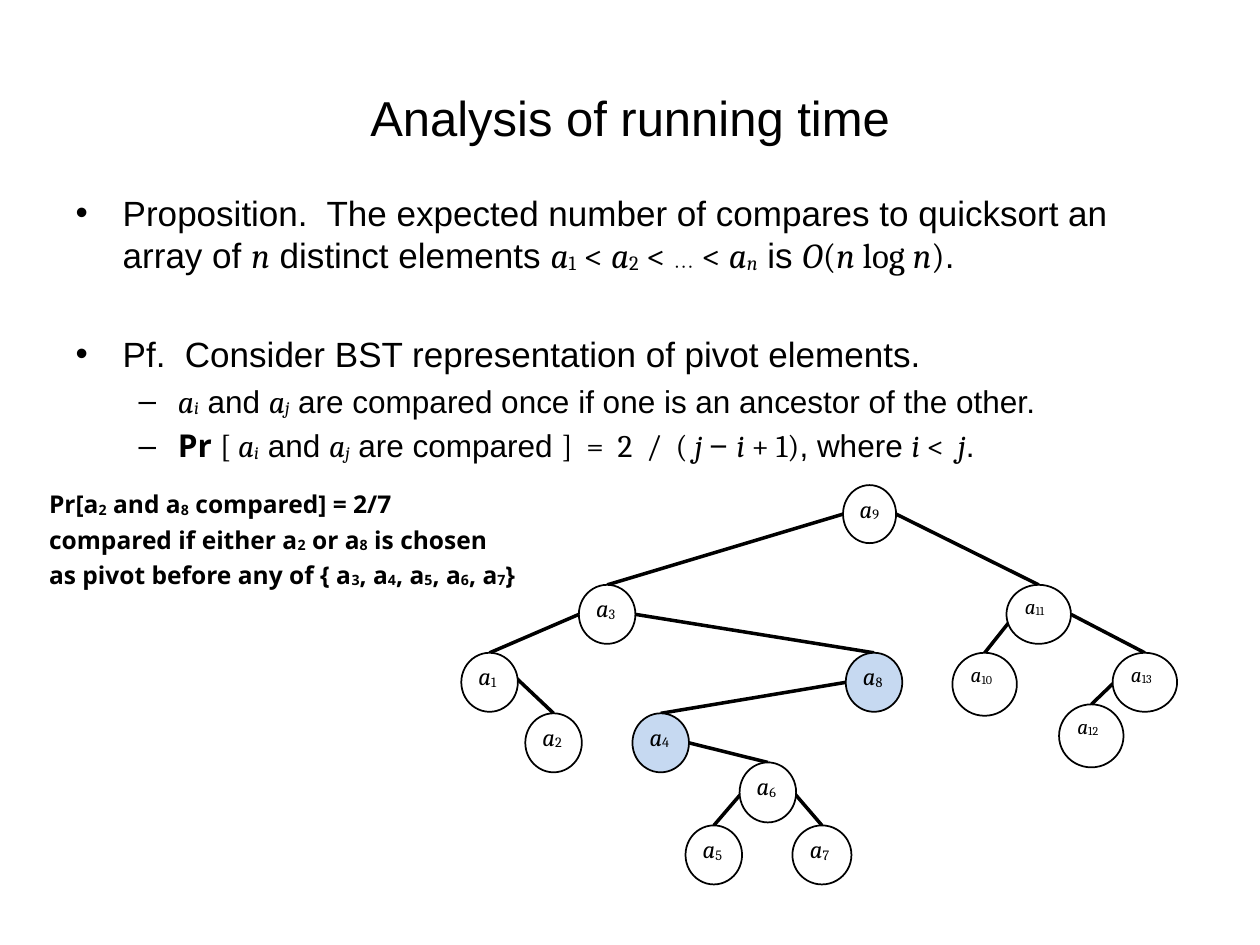
from dataclasses import dataclass
from lxml.etree import SubElement
from pptx import Presentation
from pptx.dml.color import RGBColor
from pptx.enum.shapes import MSO_CONNECTOR as Connector, MSO_SHAPE as Shape
from pptx.enum.text import MSO_ANCHOR as Anchor, MSO_AUTO_SIZE as AutoSize, PP_ALIGN as Align
from pptx.oxml.ns import qn
from pptx.util import Cm, Pt


@dataclass(frozen=True)
class Theme:
    ink = RGBColor(0, 0, 0)
    paper = RGBColor(255, 255, 255)
    highlight = RGBColor(0xC6, 0xD9, 0xF1)
    title_size = 28
    body_sizes = (20, 18)
    note_size = 14
    node_sizes = {1: 14, 2: 12}  # by number of digits in the index
    node_line = 1
    edge_line = 2
    # (left margin, first-line indent) in cm for each list level
    indents = ((0.95, -0.95), (2.06, -0.79))


THEME = Theme()

# Run styles: font attributes and baseline shift in percent
STYLES = {
    "text": ({"name": "Arial"}, 0),
    "math": ({"name": "Cambria"}, 0),
    "var": ({"name": "Cambria", "italic": True}, 0),
    "sub": ({"name": "Cambria"}, -6),
    "varsub": ({"name": "Cambria", "italic": True}, -6),
    "dots": ({"name": "Cambria"}, -12),
    "bold": ({"name": "Open Sans", "bold": True}, 0),
    "boldsub": ({"name": "Open Sans", "bold": True}, -6),
}

TITLE = "Analysis of running time"
A_I = [("a", "var"), ("i", "varsub")]
A_J = [("a", "var"), ("j", "varsub")]
AND = [(" and ", "text")]

# (level, space before in points, runs)
BODY = [
    (0, 0, [
        ("Proposition.  The expected number of compares to quicksort an array of ", "text"),
        ("n", "var"), (" distinct elements ", "text"),
        ("a", "var"), ("1", "sub"), (" < ", "math"),
        ("a", "var"), ("2", "sub"), (" < ", "math"),
        ("⋯", "dots"), (" < ", "math"),
        ("a", "var"), ("n", "varsub"), (" is ", "text"),
        ("O", "var"), ("(", "math"), ("n", "var"), (" log ", "math"),
        ("n", "var"), (")", "math"), (".", "text")]),
    (0, 32, [("Pf.  Consider BST representation of pivot elements.", "text")]),
    (1, 4, A_I + AND + A_J + [
        (" are compared once if one is an ancestor of the other.", "text")]),
    (1, 4, [("Pr ", "bold"), ("[ ", "math")] + A_I + AND + A_J + [
        (" are compared ", "text"), ("]  =  2  /  ( ", "math"),
        ("j ", "var"), ("− ", "text"), ("i", "var"), (" + 1)", "math"),
        (", where ", "text"), ("i", "var"), (" <  ", "math"),
        ("j", "var"), (".", "text")]),
]

# Text and subscript pieces alternate
NOTE = [
    ("Pr[a", "2", " and a", "8", " compared] = 2/7"),
    ("compared if either a", "2", " or a", "8", " is chosen"),
    ("as pivot before any of { a", "3", ", a", "4", ", a", "5", ", a", "6", ", a", "7", "}"),
]

# index: (centre x, top, width, height) in cm
NODES = {
    9: (17.53, 9.78, 1.07, 1.17),
    3: (12.24, 11.79, 1.14, 1.19),
    11: (20.94, 11.79, 1.3, 1.19),
    1: (9.87, 13.16, 1.14, 1.19),
    8: (17.62, 13.16, 1.14, 1.19),
    10: (19.85, 13.16, 1.3, 1.27),
    13: (23.08, 13.16, 1.3, 1.19),
    2: (11.16, 14.38, 1.14, 1.19),
    4: (13.32, 14.38, 1.14, 1.19),
    12: (22, 14.2, 1.3, 1.27),
    6: (15.48, 15.37, 1.14, 1.21),
    5: (14.39, 16.64, 1.14, 1.19),
    7: (16.57, 16.64, 1.19, 1.19),
}
HIGHLIGHTED = {4, 8}

# (parent, child, side of the parent where the edge starts)
EDGES = [
    (9, 3, "left"), (9, 11, "right"), (3, 1, "left"), (3, 8, "right"),
    (11, 10, "top"), (11, 13, "right"), (1, 2, "top"), (8, 4, "left"),
    (13, 12, "top"), (4, 6, "right"), (6, 5, "top"), (6, 7, "top"),
]


def set_attributes(target, values):
    for name, value in values.items():
        setattr(target, name, value)


def place(shape, left, top, width, height):
    set_attributes(shape, {"left": Cm(left), "top": Cm(top),
                           "width": Cm(width), "height": Cm(height)})


def add_runs(paragraph, runs, size):
    for text, style in runs:
        attributes, baseline = STYLES[style]
        run = paragraph.add_run()
        run.text = text
        set_attributes(run.font, {"size": Pt(size), **attributes})
        run.font.color.rgb = THEME.ink
        if baseline:
            run.font._element.set("baseline", str(baseline * 1000))


def set_indent(paragraph, margin, indent):
    properties = paragraph._p.get_or_add_pPr()
    properties.set("marL", str(Cm(margin)))
    properties.set("indent", str(Cm(indent)))


def paragraphs_for(frame, items):
    """Yield a paragraph of the frame with each item, reusing the first one."""
    for number, item in enumerate(items):
        yield (frame.add_paragraph() if number else frame.paragraphs[0]), item


def clear_insets(frame):
    set_attributes(frame, dict.fromkeys(
        ("margin_left", "margin_top", "margin_right", "margin_bottom"), 0))


def fill_title(shape):
    place(shape, 1.27, 0.76, 22.86, 3.18)
    set_attributes(shape.text_frame, {"auto_size": AutoSize.NONE,
                                      "vertical_anchor": Anchor.MIDDLE})
    paragraph = shape.text_frame.paragraphs[0]
    paragraph.alignment = Align.CENTER
    add_runs(paragraph, [(TITLE, "text")], THEME.title_size)


def fill_body(shape):
    place(shape, 1.27, 3.73, 22.86, 13.28)
    shape.text_frame.auto_size = AutoSize.NONE
    for paragraph, (level, space, runs) in paragraphs_for(shape.text_frame, BODY):
        set_attributes(paragraph, {"level": level, "space_before": Pt(space)})
        set_indent(paragraph, *THEME.indents[level])
        add_runs(paragraph, runs, THEME.body_sizes[level])


def add_note(slide):
    frame = slide.shapes.add_textbox(Cm(0.99), Cm(9.75), Cm(12.22), Cm(2.08)).text_frame
    frame.word_wrap = True
    clear_insets(frame)
    for paragraph, pieces in paragraphs_for(frame, NOTE):
        paragraph.line_spacing = 1.2
        runs = [(piece, ("bold", "boldsub")[number % 2])
                for number, piece in enumerate(pieces)]
        add_runs(paragraph, runs, THEME.note_size)


def add_edge(slide, parent, child, side):
    x, top, width, height = NODES[parent]
    start = {"left": (x - width / 2, top + height / 2),
             "right": (x + width / 2, top + height / 2),
             "top": (x, top)}[side]
    ends = (*start, *NODES[child][:2])
    edge = slide.shapes.add_connector(Connector.STRAIGHT, *map(Cm, ends))
    edge.line.color.rgb = THEME.ink
    edge.line.width = Pt(THEME.edge_line)
    SubElement(edge._element.spPr, qn("a:effectLst"))


def add_node(slide, index):
    x, top, width, height = NODES[index]
    node = slide.shapes.add_shape(
        Shape.OVAL, *map(Cm, (x - width / 2, top, width, height)))
    node.shadow.inherit = False
    node.fill.solid()
    node.fill.fore_color.rgb = THEME.highlight if index in HIGHLIGHTED else THEME.paper
    node.line.color.rgb = THEME.ink
    node.line.width = Pt(THEME.node_line)
    frame = node.text_frame
    clear_insets(frame)
    frame.vertical_anchor = Anchor.TOP
    paragraph = frame.paragraphs[0]
    paragraph.alignment = Align.LEFT
    set_indent(paragraph, 0.18, 0)
    label = str(index)
    add_runs(paragraph, [("a", "var"), (label, "sub")], THEME.node_sizes[len(label)])


def main():
    presentation = Presentation()
    set_attributes(presentation, {"slide_width": Cm(25.4), "slide_height": Cm(19.05)})
    slide = presentation.slides.add_slide(presentation.slide_layouts[1])
    fill_title(slide.shapes.title)
    fill_body(slide.placeholders[1])
    add_note(slide)
    for edge in EDGES:
        add_edge(slide, *edge)
    for index in NODES:
        add_node(slide, index)
    presentation.save("out.pptx")


if __name__ == "__main__":
    main()
